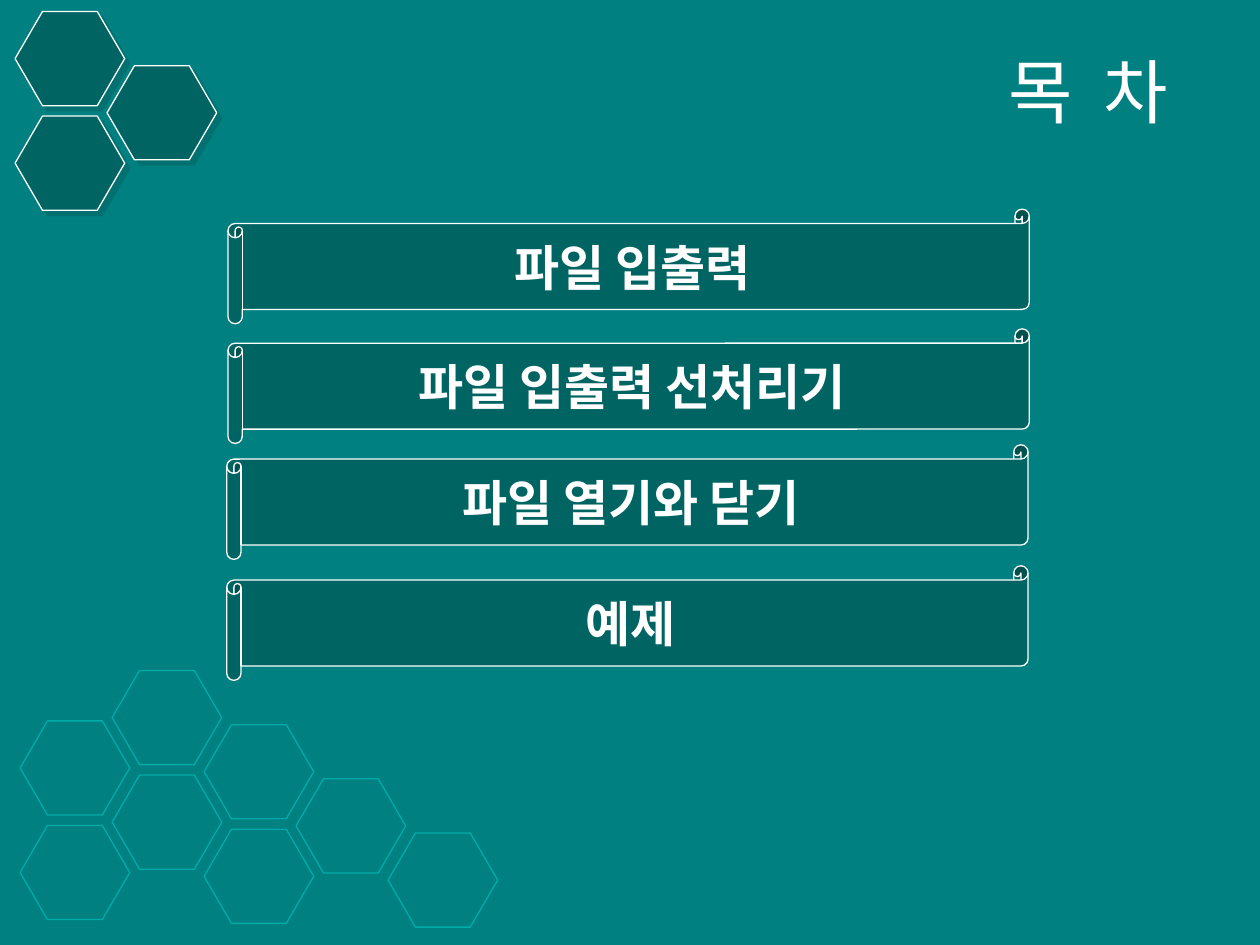
"""Build a table-of-contents slide with hexagons and scroll banners."""
from lxml import etree
from pptx import Presentation, util as u
from pptx.dml.color import RGBColor
from pptx.enum import shapes, text
from pptx.oxml.ns import qn

HUES = {"back": "008080", "dark": "006462", "edge": "00ACA8", "white": "FFFFFF"}
FACE = "Noto Sans CJK KR"
deck = Presentation()
deck.slide_width, deck.slide_height = u.Inches(10), u.Inches(7.5)
page = deck.slides.add_slide(deck.slide_layouts[6])
page.background.fill.solid()
page.background.fill.fore_color.rgb = RGBColor.from_string(HUES["back"])


def draw(kind, box, edge, fill=None):
    form = page.shapes.add_shape(kind, *[u.Inches(n) for n in box])
    form.shadow.inherit = False
    if fill:
        form.fill.solid()
        form.fill.fore_color.rgb = RGBColor.from_string(HUES[fill])
    else:
        form.fill.background()
    form.line.color.rgb = RGBColor.from_string(HUES[edge])
    form.line.width = u.Pt(0.75)
    return form


def write(form, words, size, face, align, bold=False):
    frame = form.text_frame
    frame.word_wrap = True
    frame.vertical_anchor = text.MSO_ANCHOR.MIDDLE
    para = frame.paragraphs[0]
    para.text, para.alignment = words, align
    font = para.font
    font.size, font.name, font.bold = u.Pt(size), face, bold
    font.color.rgb = RGBColor.from_string(HUES["white"])
    props = para._p.pPr.find(qn("a:defRPr"))
    etree.SubElement(props, qn("a:ea")).set("typeface", FACE)


wide, high = 0.87, 0.75
across, down, shift = 0.73, 0.83, 0.43
groups = [
    (0.16, 5.72, "edge", None,
     [(2, 0), (2, -1), (3, -1), (4, -1), (1, 0), (1, -1), (0, 0), (0, 1)]),
    (0.12, 0.09, "white", "dark", [(0, 1), (0, 0), (1, 0)]),
]
for left, top, edge, fill, cells in groups:
    for col, row in cells:
        box = (left + col * across, top + col * shift + row * down, wide, high)
        cell = draw(shapes.MSO_SHAPE.HEXAGON, box, edge, fill)
        cell.adjustments[0], cell.adjustments[1] = 0.29, 1.15
        if fill:
            glow = cell._element.spPr.find(qn("a:effectLst"))
            shade = etree.SubElement(glow, qn("a:outerShdw"), dist=str(u.Pt(4.2)),
                                     dir="2700000", algn="ctr", rotWithShape="0")
            tint = etree.SubElement(shade, qn("a:srgbClr"), val=HUES[fill])
            etree.SubElement(tint, qn("a:alpha"), val="50000")

title = page.shapes.add_textbox(*[u.Inches(n) for n in (1.85, 0.28, 7.52, 0.87)])
write(title, "목  차", 40, "Arial", text.PP_ALIGN.RIGHT)

topics = [
    (1.81, 1.66, "파일 입출력"),
    (1.81, 2.61, "파일 입출력 선처리기"),
    (1.8, 3.53, "파일 열기와 닫기"),
    (1.8, 4.49, "예제"),
]
for left, top, words in topics:
    scroll = draw(shapes.MSO_SHAPE.HORIZONTAL_SCROLL, (left, top, 6.36, 0.91),
                  "white", "dark")
    write(scroll, words, 28, FACE, text.PP_ALIGN.CENTER, True)

deck.save("out.pptx")
